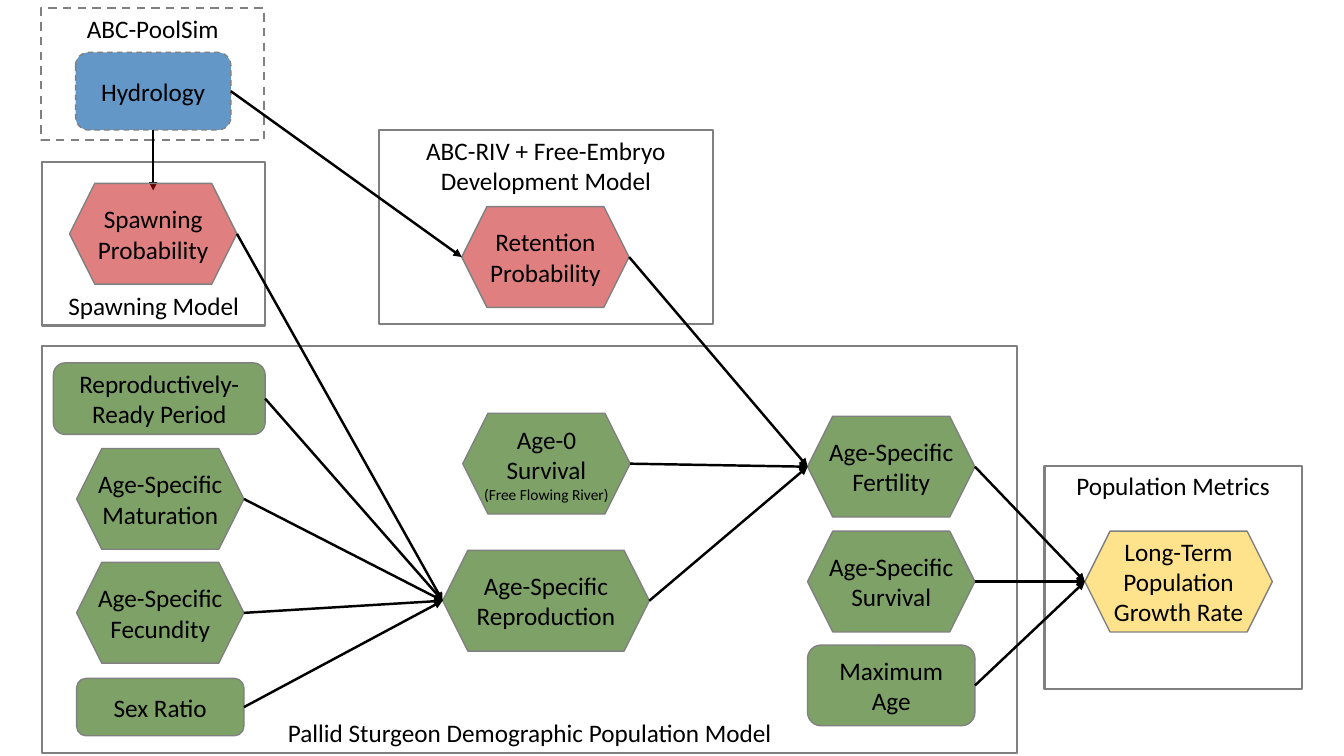
from dataclasses import dataclass

from pptx import Presentation
from pptx import util as u
from pptx.dml.color import RGBColor
from pptx.enum import dml, shapes, text
from pptx.oxml.ns import qn
from lxml import etree

PX = 9144  # EMU per px, 100 px to the inch
BOTTOM, RIGHT = 2, 3  # connection sites of a rectangle


@dataclass(frozen=True)
class Theme:
    font: str = "Calibri"
    body: int = 18
    note: int = 11
    ink: str = "000000"
    edge: str = "808080"
    # Fill colour and opacity in percent
    blue: tuple = ("2E75B6", 75)
    red: tuple = ("C00000", 50)
    green: tuple = ("548235", 75)
    yellow: tuple = ("FFD966", 75)


T = Theme()
HEX = shapes.MSO_SHAPE.HEXAGON
ROUND = shapes.MSO_SHAPE.ROUNDED_RECTANGLE

# label, left, top, width, height, anchor, dashed
FRAMES = [
    ("Pallid Sturgeon Demographic Population Model", 42, 343, 967, 404, "BOTTOM", False),
    ("Population Metrics", 1036, 462, 255, 222, "TOP", False),
    ("ABC-PoolSim", 41, 8, 221, 131, "TOP", True),
    ("ABC-RIV + Free-Embryo\vDevelopment Model", 376, 129, 331, 192, "TOP", False),
    ("Spawning Model", 42, 161, 221, 162, "BOTTOM", False),
]

# key: label, shape, fill, left, top, width, height
NODES = {
    "spawning": ("Spawning\vProbability", HEX, T.red, 69, 182, 166, 100),
    "retention": ("Retention\vProbability", HEX, T.red, 458, 205, 166, 100),
    "period": ("Reproductively-\vReady Period", ROUND, T.green, 53, 360, 210, 71),
    "maturation": ("Age-Specific\nMaturation", HEX, T.green, 76, 445, 166, 100),
    "fecundity": ("Age-Specific\nFecundity", HEX, T.green, 76, 558, 166, 100),
    "sex ratio": ("Sex Ratio", ROUND, T.green, 76, 673, 166, 57),
    "age-0": ("Age-0\nSurvival\n(Free Flowing River)", HEX, T.green, 459, 410, 166, 100),
    "reproduction": ("Age-Specific\nReproduction", HEX, T.green, 439, 546, 205, 100),
    "fertility": ("Age-Specific\nFertility", HEX, T.green, 801, 413, 166, 100),
    "survival": ("Age-Specific\nSurvival", HEX, T.green, 801, 527, 166, 100),
    "max age": ("Maximum\vAge", ROUND, T.green, 801, 640, 166, 80),
    "growth": ("Long-Term\vPopulation\vGrowth Rate", HEX, T.yellow, 1076, 527, 186, 100),
}

# target: sources
FLOWS = {
    "retention": ["hydrology"],
    "reproduction": ["spawning", "period", "maturation", "fecundity", "sex ratio"],
    "fertility": ["retention", "age-0", "reproduction"],
    "growth": ["fertility", "survival", "max age"],
}


def add_box(slide, kind, label, left, top, width, height, weight, anchor="MIDDLE", dashed=False):
    """Unfilled outlined shape with centred text."""
    sp = slide.shapes.add_shape(kind, left * PX, top * PX, width * PX, height * PX)
    sp.shadow.inherit = False
    sp.fill.background()
    sp.line.color.rgb = RGBColor.from_string(T.edge)
    sp.line.width = u.Pt(weight)
    if dashed:
        sp.line.dash_style = dml.MSO_LINE.DASH
    tf = sp.text_frame
    tf.word_wrap = False
    tf.vertical_anchor = text.MSO_ANCHOR[anchor]
    tf.text = label
    for p in tf.paragraphs:
        p.alignment = text.PP_ALIGN.CENTER
        for r in p.runs:
            r.font.name = T.font
            r.font.size = u.Pt(T.note if r.text.startswith("(") else T.body)
            r.font.color.rgb = RGBColor.from_string(T.ink)
    return sp


def add_frame(slide, label, left, top, width, height, anchor, dashed):
    add_box(slide, shapes.MSO_SHAPE.RECTANGLE, label, left, top, width, height, 1.5, anchor, dashed)


def add_node(slide, label, kind, fill, left, top, width, height, dashed=False):
    sp = add_box(slide, kind, label, left, top, width, height, 1, dashed=dashed)
    color, opacity = fill
    sp.fill.solid()
    sp.fill.fore_color.rgb = RGBColor.from_string(color)
    clr = sp.fill._xPr.find(qn("a:solidFill")).find(qn("a:srgbClr"))
    etree.SubElement(clr, qn("a:alpha"), val=str(opacity * 1000))
    return sp


def add_arrow(slide, begin, end):
    cn = slide.shapes.add_connector(shapes.MSO_CONNECTOR.STRAIGHT, *begin, *end)
    cn.line.color.rgb = RGBColor.from_string(T.ink)
    cn.line.width = u.Pt(1.75)
    etree.SubElement(cn.line._get_or_add_ln(), qn("a:tailEnd"), type="triangle")
    etree.SubElement(cn._element.spPr, qn("a:effectLst"))
    return cn


def add_flow(slide, source, target):
    """Arrow from the right tip of one node to the left tip of another."""
    begin = source.left + source.width, source.top + source.height // 2
    end = target.left, target.top + target.height // 2
    cn = add_arrow(slide, begin, end)
    if source.auto_shape_type == ROUND:
        cn.begin_connect(source, RIGHT)


def main():
    prs = Presentation()
    prs.slide_width, prs.slide_height = 1333 * PX, 750 * PX
    slide = prs.slides.add_slide(prs.slide_layouts[6])

    # Model frames
    for frame in FRAMES:
        add_frame(slide, *frame)

    # Hydrology, with its arrow running under the spawning node
    hydrology = add_node(slide, "Hydrology", ROUND, T.blue, 75, 52, 154, 77, dashed=True)
    down = add_arrow(slide, (152 * PX, 129 * PX), (152 * PX, 189 * PX))
    down.begin_connect(hydrology, BOTTOM)

    # Remaining nodes
    nodes = {key: add_node(slide, *node) for key, node in NODES.items()}
    nodes["hydrology"] = hydrology

    # Flows between nodes
    for target, sources in FLOWS.items():
        for source in sources:
            add_flow(slide, nodes[source], nodes[target])

    prs.save("out.pptx")


if __name__ == "__main__":
    main()
